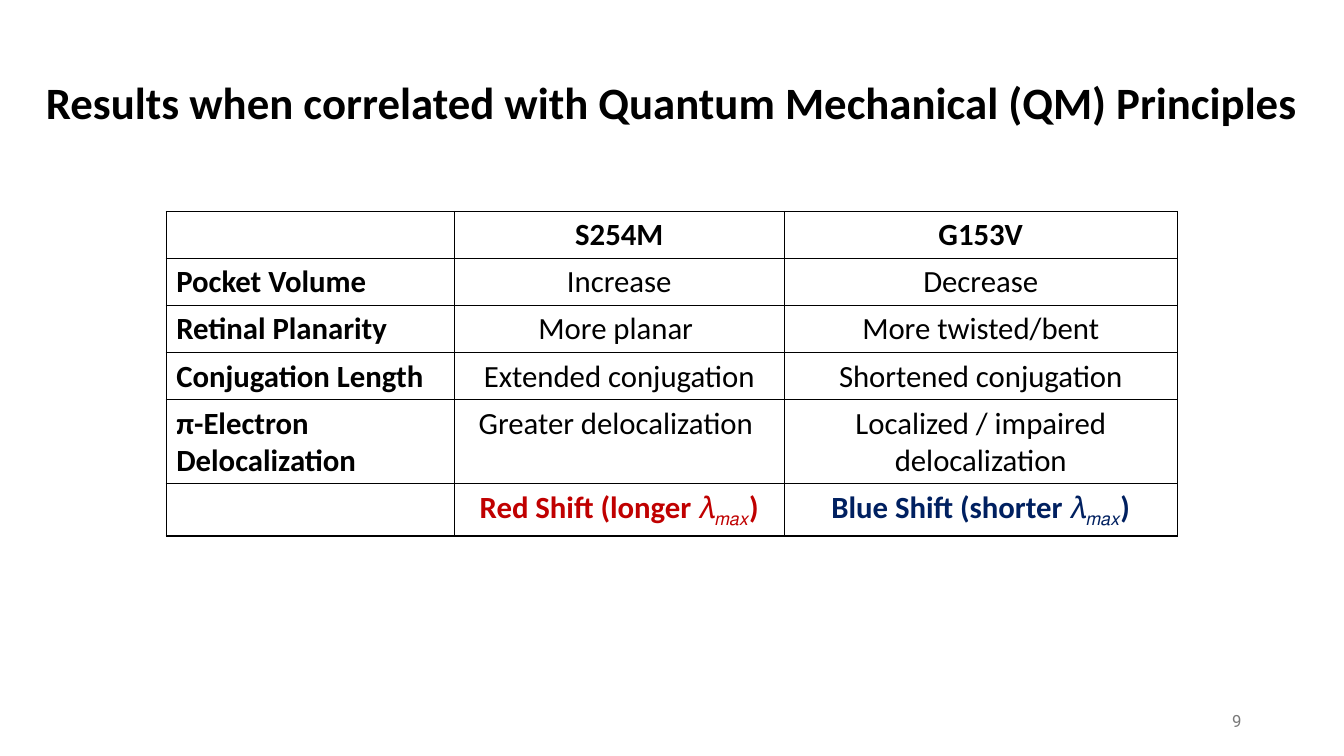
from dataclasses import dataclass

from lxml.etree import SubElement
from pptx import Presentation
from pptx.dml.color import RGBColor
from pptx.enum.text import MSO_ANCHOR, PP_ALIGN
from pptx.oxml.ns import qn
from pptx.util import Cm, Pt


@dataclass(frozen=True)
class Theme:
    body_font: str = "Calibri"
    number_font: str = "Roboto"
    title_size: int = 32
    table_size: int = 22
    number_size: int = 12
    black: str = "000000"
    white: str = "FFFFFF"
    gray: str = "797979"
    red: str = "C00000"
    blue: str = "002060"


theme = Theme()


def style(para, size, color, bold=False, name=theme.body_font, align=PP_ALIGN.CENTER):
    para.alignment = align
    para.font.name = name
    para.font.size = Pt(size)
    para.font.bold = bold
    para.font.color.rgb = RGBColor.from_string(color)


def add_borders(cell):
    """Draw a one-point line on all four sides of a table cell."""
    properties = cell._tc.get_or_add_tcPr()
    for side in ("lnL", "lnR", "lnT", "lnB"):
        line = SubElement(properties, qn(f"a:{side}"), w=str(Pt(1)))
        fill = SubElement(line, qn("a:solidFill"))
        SubElement(fill, qn("a:srgbClr"), val=theme.black)


deck = Presentation()
deck.slide_width, deck.slide_height = Cm(33.87), Cm(19.05)
page = deck.slides.add_slide(deck.slide_layouts[6])

# Title
title = page.shapes.add_textbox(0, Cm(1.75), deck.slide_width, Cm(2.39)).text_frame
title.word_wrap = True
title.text = "Results when correlated with Quantum Mechanical (QM) Principles"
style(title.paragraphs[0], theme.title_size, theme.black, bold=True)

# Comparison of the two mutants
rows = [
    ("", "S254M", "G153V"),
    ("Pocket Volume", "Increase", "Decrease"),
    ("Retinal Planarity", "More planar ", "More twisted/bent"),
    ("Conjugation Length", "Extended conjugation", "Shortened conjugation"),
    ("π-Electron Delocalization", "Greater delocalization ", "Localized / impaired delocalization"),
    ("", "Red Shift (longer 𝜆", "Blue Shift (shorter 𝜆"),
]
column_widths = [7.26, 8.31, 9.91]
row_height = 1.05
last_row = len(rows) - 1
shift_colors = [theme.black, theme.red, theme.blue]

table = page.shapes.add_table(
    len(rows), len(column_widths), Cm(4.19), Cm(5.33),
    Cm(sum(column_widths)), Cm(row_height * len(rows)),
).table
table.first_row = table.horz_banding = False
for column, width in zip(table.columns, column_widths):
    column.width = Cm(width)

for row_index, texts in enumerate(rows):
    table.rows[row_index].height = Cm(row_height)
    for column_index, text in enumerate(texts):
        cell = table.cell(row_index, column_index)
        add_borders(cell)
        cell.fill.solid()
        cell.fill.fore_color.rgb = RGBColor.from_string(theme.white)

        para = cell.text_frame.paragraphs[0]
        is_label = column_index == 0
        is_shift = row_index == last_row
        style(
            para,
            theme.table_size,
            shift_colors[column_index] if is_shift else theme.black,
            bold=is_label or row_index in (0, last_row),
            align=PP_ALIGN.LEFT if is_label else PP_ALIGN.CENTER,
        )
        if text:
            para.add_run().text = text
        if is_shift and text:
            subscript = para.add_run()
            subscript.text = "𝑚𝑎𝑥"
            subscript.font._element.set("baseline", "-25000")
            para.add_run().text = ")"

# Page number
number = page.shapes.add_textbox(Cm(23.92), Cm(17.66), Cm(7.62), Cm(1.01)).text_frame
number.word_wrap = True
number.vertical_anchor = MSO_ANCHOR.MIDDLE
number.text = "9"
style(number.paragraphs[0], theme.number_size, theme.gray,
      name=theme.number_font, align=PP_ALIGN.RIGHT)

deck.save("out.pptx")
